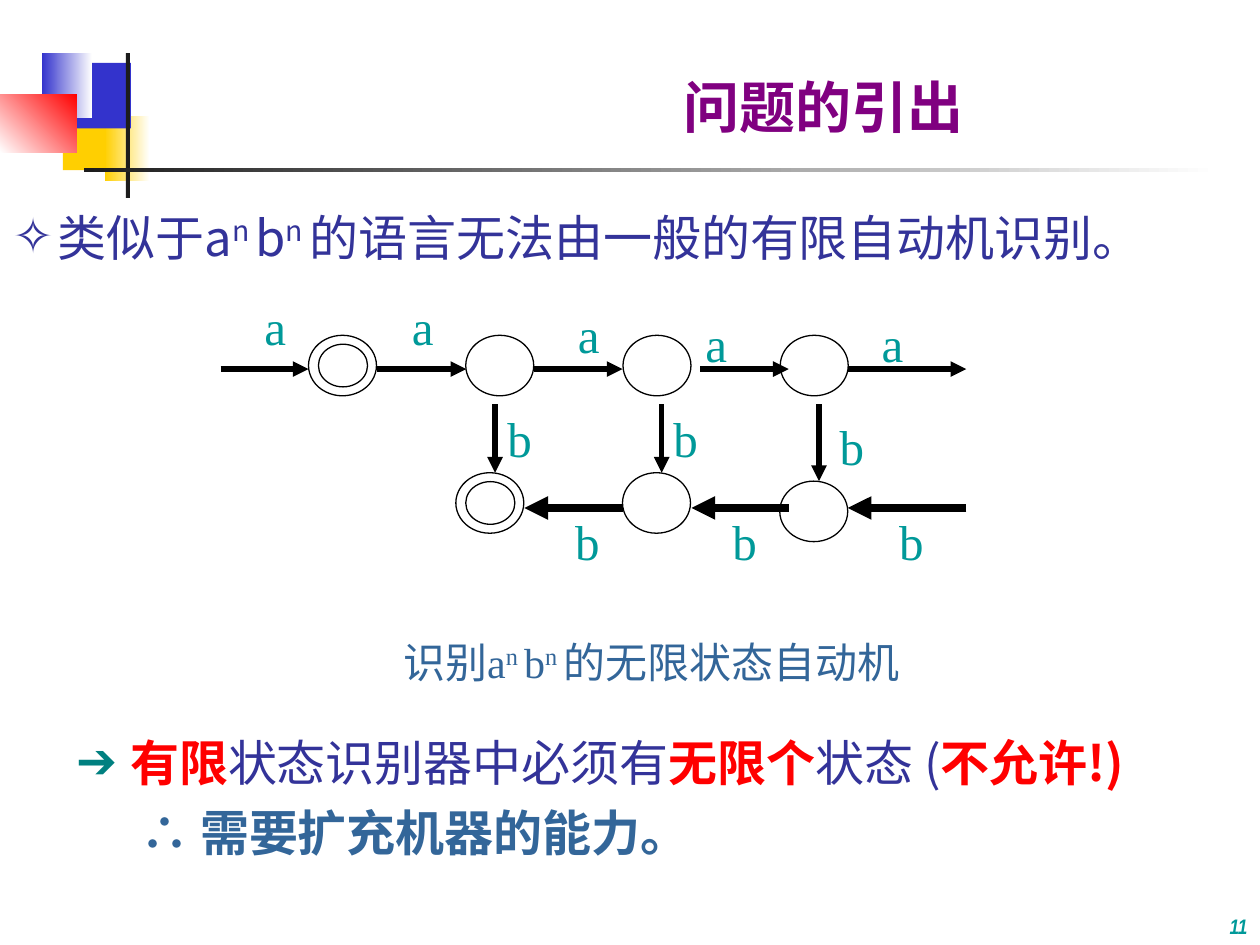
from lxml.etree import SubElement
from pptx import Presentation
from pptx.dml.color import RGBColor
from pptx.enum.shapes import MSO_CONNECTOR, MSO_SHAPE
from pptx.enum.text import MSO_ANCHOR, MSO_AUTO_SIZE, PP_ALIGN
from pptx.oxml.ns import qn
from pptx.util import Cm, Pt

WHITE = RGBColor(0xFF, 0xFF, 0xFF)
BLACK = RGBColor(0, 0, 0)
INK = RGBColor(0x1C, 0x1C, 0x1C)
GOLD = RGBColor(0xFF, 0xCF, 0x01)
BLUE = RGBColor(0x33, 0x33, 0xCC)
NAVY = RGBColor(0x33, 0x33, 0x99)
STEEL = RGBColor(0x33, 0x66, 0x99)
RED = RGBColor(0xFF, 0, 0)
PURPLE = RGBColor(0x80, 0, 0x80)
GREEN = RGBColor(0, 0x80, 0x80)
TEAL = RGBColor(0, 0x99, 0x99)
SANS, SERIF = "Noto Sans CJK SC", "Times New Roman"


class Deck:
    def __init__(self):
        self.prs = Presentation()
        self.prs.slide_width, self.prs.slide_height = Cm(25.4), Cm(19.05)
        self.slide = self.prs.slides.add_slide(self.prs.slide_layouts[3])
        self.shapes = self.slide.shapes

    def shape(self, kind, *box):
        item = self.shapes.add_shape(kind, *map(Cm, box))
        item.shadow.inherit = False
        return item

    def block(self, box, start, end=None, angle=180):
        """Rectangle without outline, plain or with a gradient."""
        item = self.shape(MSO_SHAPE.RECTANGLE, *box)
        item.line.fill.background()
        if end is None:
            item.fill.solid()
            item.fill.fore_color.rgb = start
            return
        item.fill.gradient()
        item.fill.gradient_angle = angle
        for stop, color in zip(item.fill.gradient_stops, (start, end)):
            stop.color.rgb = color

    def oval(self, *box):
        item = self.shape(MSO_SHAPE.OVAL, *box)
        item.fill.solid()
        item.fill.fore_color.rgb = WHITE
        item.line.color.rgb = BLACK
        item.line.width = Pt(0.75)

    def state(self, x, y, final=False):
        self.oval(x, y, 1.37, 1.22)
        if final:
            self.oval(x + 0.2, y + 0.18, 0.99, 0.86)

    def arrow(self, x1, y1, x2, y2, width=3):
        item = self.shapes.add_connector(
            MSO_CONNECTOR.STRAIGHT, Cm(x1), Cm(y1), Cm(x2), Cm(y2))
        item.line.color.rgb = BLACK
        item.line.width = Pt(width)
        SubElement(item.line._get_or_add_ln(), qn("a:tailEnd"), type="triangle")
        SubElement(item._element.spPr, qn("a:effectLst"))

    def holder(self, idx, *box):
        item = self.slide.placeholders[idx]
        item.left, item.top, item.width, item.height = map(Cm, box)
        return self.frame(item)

    def box(self, *box, wrap=True):
        return self.frame(self.shapes.add_textbox(*map(Cm, box)), wrap)

    def frame(self, item, wrap=True):
        frame = item.text_frame
        frame.word_wrap = wrap
        frame.auto_size = MSO_AUTO_SIZE.NONE
        frame.vertical_anchor = MSO_ANCHOR.TOP
        return frame

    def para(self, par, align, spacing=1.0):
        par.alignment = align
        par.line_spacing = spacing
        par.space_before = Pt(0)
        return par

    def bullet(self, par, left, hang=0, mark=None, color=None):
        props = par._p.get_or_add_pPr()
        props.set("marL", str(Cm(left)))
        props.set("indent", str(-Cm(hang)))
        if mark is None:
            SubElement(props, qn("a:buNone"))
            return
        tint = SubElement(props, qn("a:buClr"))
        SubElement(tint, qn("a:srgbClr"), val=str(color))
        SubElement(props, qn("a:buChar"), char=mark)

    def run(self, par, text, size, color, font=SANS, bold=False, sup=False):
        run = par.add_run()
        run.text = text
        run.font.size = Pt(size)
        run.font.color.rgb = color
        run.font.name = font
        run.font.bold = bold
        props = run._r.get_or_add_rPr()
        SubElement(props, qn("a:ea"), typeface=SANS)
        if sup:
            props.set("baseline", "30000")
        return run

    def power(self, par, size, color, font):
        """The words a^n b^n."""
        for letter in "ab":
            self.run(par, letter, size, color, font)
            self.run(par, "n ", size, color, font, sup=True)

    def label(self, text, x, y):
        frame = self.box(x, y, 1.57, 1.45)
        frame.margin_top = Cm(0.25)
        par = self.para(frame.paragraphs[0], PP_ALIGN.RIGHT)
        self.run(par, text, 28, TEAL, SERIF)


def main():
    deck = Deck()

    # Corner ornament and rules
    deck.block((1.27, 2.11, 1.22, 1.32), GOLD)
    deck.block((2.11, 2.34, 0.91, 1.32), WHITE, GOLD)
    deck.block((1.47, 1.27, 1.17, 1.32), BLUE)
    deck.block((0.84, 1.07, 1.02, 1.32), WHITE, BLUE)
    deck.block((0, 1.9, 1.55, 1.17), RED, WHITE, 225)
    deck.block((2.54, 1.07, 0.08, 2.92), INK)
    deck.block((1.7, 3.38, 22.86, 0.08), WHITE, INK)

    # Title
    frame = deck.holder(0, 8.89, 1.27, 15.44, 1.7)
    frame.vertical_anchor = MSO_ANCHOR.BOTTOM
    par = deck.para(frame.paragraphs[0], PP_ALIGN.CENTER, 0.9)
    deck.run(par, "问题的引出", 32, PURPLE, "Arial", True)

    # Opening statement
    frame = deck.holder(1, 0, 3.81, 24.77, 1.68)
    par = deck.para(frame.paragraphs[0], PP_ALIGN.JUSTIFY, 1.2)
    deck.bullet(par, 0.91, 0.91, "✧", NAVY)
    deck.run(par, "类似于", 28, NAVY)
    deck.power(par, 28, NAVY, SANS)
    deck.run(par, "的语言无法由一般的有限自动机识别。", 28, NAVY)

    # Conclusion
    frame = deck.holder(2, 0.64, 14.4, 24.76, 3.1)
    par = deck.para(frame.paragraphs[0], PP_ALIGN.JUSTIFY, 1.2)
    par.level = 1
    deck.bullet(par, 1.73, 1.09, "➔", GREEN)
    for text, key in (("有限", True), ("状态识别器中必须有", False),
                      ("无限个", True), ("状态 (", False), ("不允许!)", True)):
        deck.run(par, text, 28, RED if key else NAVY, bold=key)
    par = deck.para(frame.add_paragraph(), PP_ALIGN.JUSTIFY, 1.2)
    par.level = 1
    deck.bullet(par, 1.93)
    deck.run(par, "∴ 需要扩充机器的能力。", 28, STEEL, bold=True)

    # States
    for col in range(4):
        deck.state(6.22 + 3.17 * col, 6.76, final=col == 0)
    for x, y in ((9.19, 9.53), (12.55, 9.53), (15.72, 9.7)):
        deck.state(x, y, final=x == 9.19)

    # Moves: along the top, down, and back along the bottom
    for x1, x2 in ((4.45, 6.22), (7.6, 9.4), (10.77, 12.55),
                   (14.12, 15.9), (17.09, 19.48)):
        deck.arrow(x1, 7.44, x2, 7.44)
    for x, y in ((9.98, 9.53), (13.34, 9.53), (16.51, 9.7)):
        deck.arrow(x, 8.15, x, y)
    for x1, x2 in ((19.48, 17.09), (15.9, 13.94), (12.55, 10.57)):
        deck.arrow(x1, 10.24, x2, 10.24, 4.5)

    # Letters on the moves
    for x, y in ((4.45, 5.72), (7.42, 5.72), (10.77, 5.89),
                 (13.34, 6.07), (16.89, 6.07)):
        deck.label("a", x, y)
    for x, y in ((9.4, 7.98), (12.75, 7.98), (16.1, 8.15),
                 (10.77, 10.06), (13.94, 10.06), (17.3, 10.06)):
        deck.label("b", x, y)

    # Caption
    frame = deck.box(7.49, 12.7, 11.1, 1.27, wrap=False)
    frame.margin_right = Cm(0.46)
    par = deck.para(frame.paragraphs[0], PP_ALIGN.RIGHT)
    deck.run(par, "识别", 24, STEEL)
    deck.power(par, 24, STEEL, SERIF)
    deck.run(par, "的无限状态自动机", 24, STEEL)

    # Page number
    frame = deck.box(21.16, 17.78, 4.24, 1.27)
    frame.vertical_anchor = MSO_ANCHOR.BOTTOM
    par = deck.para(frame.paragraphs[0], PP_ALIGN.RIGHT)
    deck.run(par, "11", 12, TEAL, "Arial Narrow", True).font.italic = True

    deck.prs.save("out.pptx")


if __name__ == "__main__":
    main()
